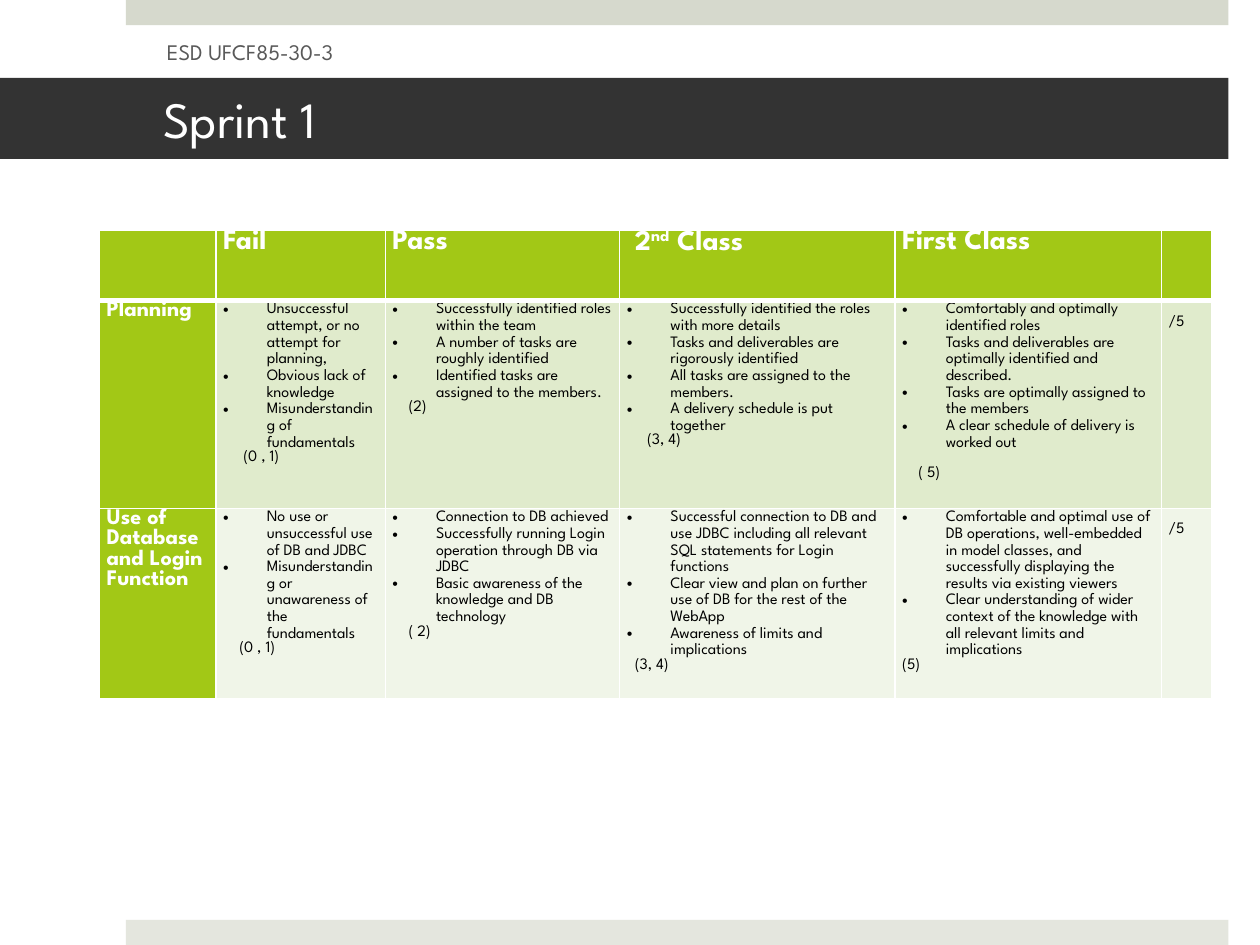
from lxml import etree
from pptx import Presentation
from pptx import util as u
from pptx.dml.color import RGBColor
from pptx.enum import shapes, text
from pptx.oxml import ns

FONT = "League Spartan"
HUES = {
    "white": "FFFFFF", "black": "000000", "dark": "333333", "grey": "595959",
    "top": "D6D9CD", "foot": "E4E6DE",
    "lime": "A2C816", "pale": "E0EBCC", "light": "F0F5E8",
}
COLS = [2.59, 3.76, 5.21, 6.12, 5.92, 1.12]
ROWS = [1.57, 4.62, 4.22]
STEP = 0.09
HEADS = ["", "Fail", "Pass", ("2", "nd", " Class"), "First Class", ""]
TASKS = [
    ("Planning", "pale", [
        (["Unsuccessful attempt, or no attempt for planning,",
          "Obvious lack of knowledge",
          "Misunderstanding of fundamentals"], "(0 , 1)", 5, 0),
        (["Successfully identified roles within the team",
          "A number of tasks are roughly identified",
          "Identified tasks are assigned to the members."], "(2)", 4, 0),
        (["Successfully identified the roles with more details",
          "Tasks and deliverables are rigorously identified",
          "All tasks are assigned to the members.",
          "A delivery schedule is put together"], "(3, 4)", 5, 0),
        (["Comfortably and optimally identified roles",
          "Tasks and deliverables are optimally identified and described.",
          "Tasks are optimally assigned to the members",
          "A clear schedule of delivery is worked out"], "( 5)", 4, 10),
    ]),
    ("Use of Database and Login Function", "light", [
        (["No use or unsuccessful use of DB and JDBC",
          "Misunderstanding or unawareness of the fundamentals"],
         "(0 , 1)", 4, 0),
        (["Connection to DB achieved",
          "Successfully running Login operation through DB via JDBC",
          "Basic awareness of the knowledge and DB technology"],
         "( 2)", 4, 0),
        (["Successful connection to DB and use JDBC including all relevant "
          "SQL statements for Login functions",
          "Clear view and plan on further use of DB for the rest of the WebApp",
          "Awareness of limits and implications"], "(3, 4)", 2, 0),
        (["Comfortable and optimal use of DB operations, well-embedded in "
          "model classes, and successfully displaying the results via "
          "existing viewers",
          "Clear understanding of wider context of the knowledge with all "
          "relevant limits and implications"], "(5)", 0, 0),
    ]),
]


def hue(name):
    return RGBColor.from_string(HUES[name])


def paint(shape, name):
    shape.fill.solid()
    shape.fill.fore_color.rgb = hue(name)


def style(para, size, name, bold=False):
    for run in para.runs:
        font = run.font
        font.name, font.size, font.bold = FONT, u.Pt(size), bold
        font.color.rgb = hue(name)


def place(shape, left, top, width, height):
    shape.left, shape.top = u.Cm(left), u.Cm(top)
    shape.width, shape.height = u.Cm(width), u.Cm(height)


def add_bar(slide, top, name):
    bar = slide.shapes.add_shape(
        shapes.MSO_SHAPE.RECTANGLE, u.Cm(2.8), u.Cm(top), u.Cm(24.5), u.Cm(0.56))
    bar.shadow.inherit = False
    paint(bar, name)
    bar.line.fill.background()


def set_line(shape, words, size, name, left, right):
    frame = shape.text_frame
    frame.text = words
    frame.word_wrap = True
    frame.auto_size = text.MSO_AUTO_SIZE.NONE
    frame.vertical_anchor = text.MSO_ANCHOR.MIDDLE
    frame.margin_left, frame.margin_right = u.Cm(left), u.Cm(right)
    frame.margin_top = frame.margin_bottom = u.Cm(0.15)
    para = frame.paragraphs[0]
    para.alignment = text.PP_ALIGN.LEFT
    style(para, size, name)


def add_edge(cell, side, width):
    edge = etree.SubElement(cell._tc.get_or_add_tcPr(), ns.qn("a:ln" + side),
                            w=str(u.Pt(width)))
    fill = etree.SubElement(edge, ns.qn("a:solidFill"))
    etree.SubElement(fill, ns.qn("a:srgbClr"), val=HUES["white"])


def dress(cell, row, name):
    cell.margin_left = cell.margin_right = u.Cm(0.16)
    cell.margin_top = cell.margin_bottom = 0
    for side in "LRTB":
        thick = (row, side) in [(0, "B"), (1, "T")]
        add_edge(cell, side, 3 if thick else 1)
    paint(cell, name)


def indent(para, left, first=0):
    props = para._p.get_or_add_pPr()
    props.set("marL", str(u.Cm(left)))
    props.set("indent", str(u.Cm(first)))
    return props


def fill_head(cell, words):
    para = cell.text_frame.paragraphs[0]
    if isinstance(words, tuple):
        for part in words:
            para.add_run().text = part
        para.runs[1]._r.get_or_add_rPr().set("baseline", "30000")
        indent(para, 2 * STEP)
    else:
        para.text = words
    style(para, 18, "white", True)


def fill_grade(cell, items, mark, steps, gap):
    frame = cell.text_frame
    frame.text = "\n".join(items + [mark])
    *points, last = frame.paragraphs
    for para in points:
        para.line_spacing = 1.15
        if para is points[-1] and gap:
            para.space_after = u.Pt(gap)
        props = indent(para, 0.97, -0.97)
        etree.SubElement(props, ns.qn("a:buFont"), typeface="Arial")
        etree.SubElement(props, ns.qn("a:buChar"), char="•")
        style(para, 10, "black")
    indent(last, steps * STEP)
    style(last, 10, "black")


def fill_cell(cell, words, size, name, bold):
    cell.text_frame.text = words
    style(cell.text_frame.paragraphs[0], size, name, bold)


def add_grid(slide):
    grid = slide.shapes.add_table(
        len(ROWS), len(COLS), u.Cm(2.21), u.Cm(5.11),
        u.Cm(sum(COLS)), u.Cm(sum(ROWS))).table
    grid.horz_banding = False
    for col, width in zip(grid.columns, COLS):
        col.width = u.Cm(width)
    for row, height in zip(grid.rows, ROWS):
        row.height = u.Cm(height)
    for col, words in enumerate(HEADS):
        cell = grid.cell(0, col)
        dress(cell, 0, "lime")
        fill_head(cell, words)
    for row, (task, tint, grades) in enumerate(TASKS, 1):
        for col in range(len(COLS)):
            dress(grid.cell(row, col), row, tint if col else "lime")
        fill_cell(grid.cell(row, 0), task, 14, "white", True)
        for col, grade in enumerate(grades, 1):
            fill_grade(grid.cell(row, col), *grade)
        score = grid.cell(row, len(COLS) - 1)
        score.margin_top = u.Cm(0.32)
        fill_cell(score, "/5", 10, "black", False)


def main():
    deck = Presentation()
    deck.slide_width, deck.slide_height = u.Cm(28), u.Cm(21)
    slide = deck.slides.add_slide(deck.slide_layouts[5])
    add_bar(slide, 0, "top")
    add_bar(slide, 20.44, "foot")
    title = slide.shapes.title
    place(title, 0, 1.73, 27.3, 1.8)
    paint(title, "dark")
    set_line(title, "Sprint 1", 32, "white", 3.63, 0.84)
    label = slide.shapes.add_textbox(0, 0, 0, 0)
    place(label, 3.43, 0.58, 8.86, 1.12)
    set_line(label, "ESD UFCF85-30-3", 14, "grey", 0.28, 0.28)
    add_grid(slide)
    deck.save("out.pptx")


main()
